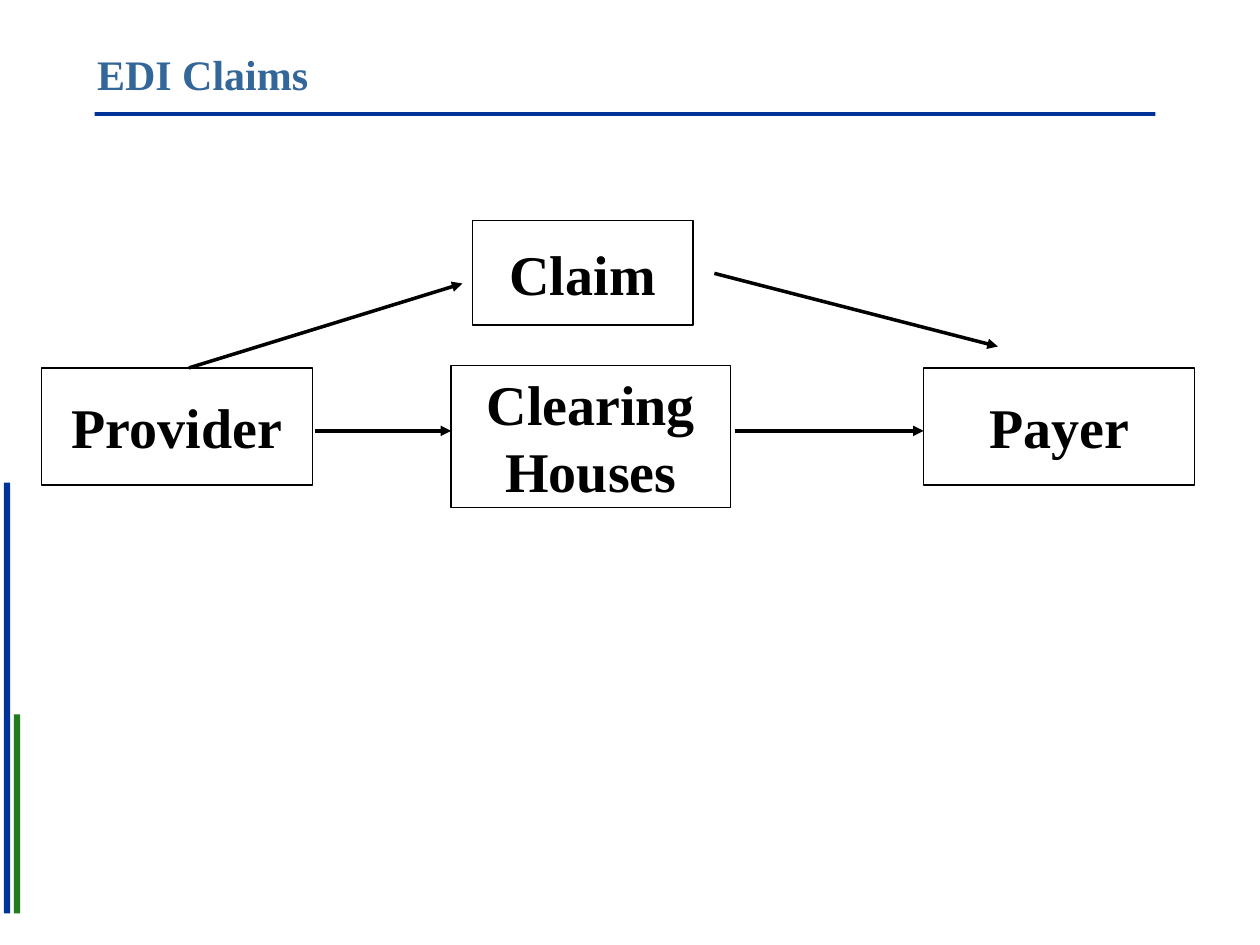
"""Build the EDI claims flow slide."""
from lxml.etree import SubElement
from pptx import Presentation
from pptx.dml.color import RGBColor
from pptx.enum.shapes import MSO_CONNECTOR as Link, MSO_SHAPE as Shape
from pptx.enum.text import MSO_ANCHOR as Anchor, PP_ALIGN as Align
from pptx.oxml.ns import qn
from pptx.util import Inches, Pt

HUES = {"blue": "003399", "green": "1F7D1F", "title": "336699",
        "ink": "000000", "paper": "FFFFFF"}


class Deck:
    def __init__(self):
        self.pres = Presentation()
        self.pres.slide_width, self.pres.slide_height = Inches(10), Inches(7.5)
        self.slide = self.pres.slides.add_slide(self.pres.slide_layouts[5])
        self.face = "Times New Roman"

    def hue(self, name):
        return RGBColor.from_string(HUES[name])

    def label(self, frame, text, size, hue, align):
        frame.text = text
        frame.vertical_anchor = Anchor.MIDDLE
        para = frame.paragraphs[0]
        para.alignment = align
        font = para.font
        font.name, font.size, font.bold = self.face, Pt(size), True
        font.color.rgb = self.hue(hue)

    def title(self, text, *area):
        head = self.slide.shapes.title
        head.left, head.top, head.width, head.height = map(Inches, area)
        self.label(head.text_frame, text, 24, "title", Align.LEFT)

    def bar(self, hue, *area):
        rect = self.slide.shapes.add_shape(Shape.RECTANGLE, *map(Inches, area))
        rect.shadow.inherit = False
        rect.fill.solid()
        rect.fill.fore_color.rgb = self.hue(hue)
        rect.line.fill.background()
        return rect

    def box(self, text, *area, wrap=False):
        rect = self.bar("paper", *area)
        rect.line.color.rgb = self.hue("ink")
        rect.line.width = Pt(0.75)
        self.label(rect.text_frame, text, 32, "ink", Align.CENTER)
        rect.text_frame.word_wrap = wrap

    def arrow(self, *ends):
        link = self.slide.shapes.add_connector(Link.STRAIGHT, *map(Inches, ends))
        link.line.color.rgb = self.hue("ink")
        link.line.width = Pt(2)
        props = link.element.spPr
        SubElement(props.find(qn("a:ln")), qn("a:tailEnd"), type="triangle")
        SubElement(props, qn("a:effectLst"))


def main():
    deck = Deck()
    deck.bar("blue", 0.75, 0.89, 8.42, 0.03)
    for hue, left, top in (("blue", 0.03, 3.83), ("green", 0.11, 5.67)):
        deck.bar(hue, left, top, 0.05, 7.25 - top)
    deck.title("EDI Claims", 0.67, 0.25, 8.5, 0.67)

    deck.box("Clearing Houses", 3.58, 2.9, 2.22, 1.13, wrap=True)
    for text, left in (("Provider", 0.33), ("Payer", 7.33)):
        deck.box(text, left, 2.92, 2.15, 0.93)
    deck.box("Claim", 3.75, 1.75, 1.75, 0.83)

    for start, end in ((2.5, 3.58), (5.83, 7.33)):
        deck.arrow(start, 3.42, end, 3.42)
    deck.arrow(1.5, 2.92, 3.67, 2.25)
    deck.arrow(5.67, 2.17, 7.92, 2.75)
    deck.pres.save("out.pptx")


if __name__ == "__main__":
    main()
